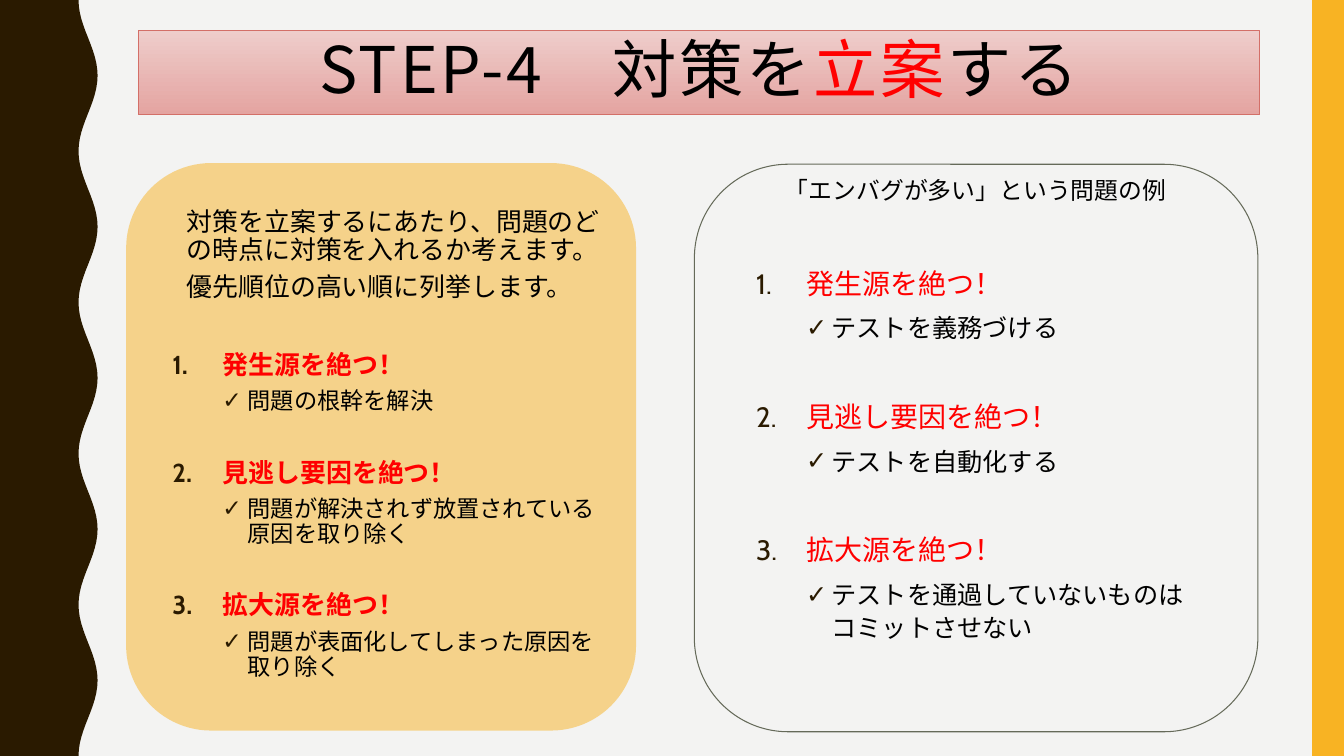
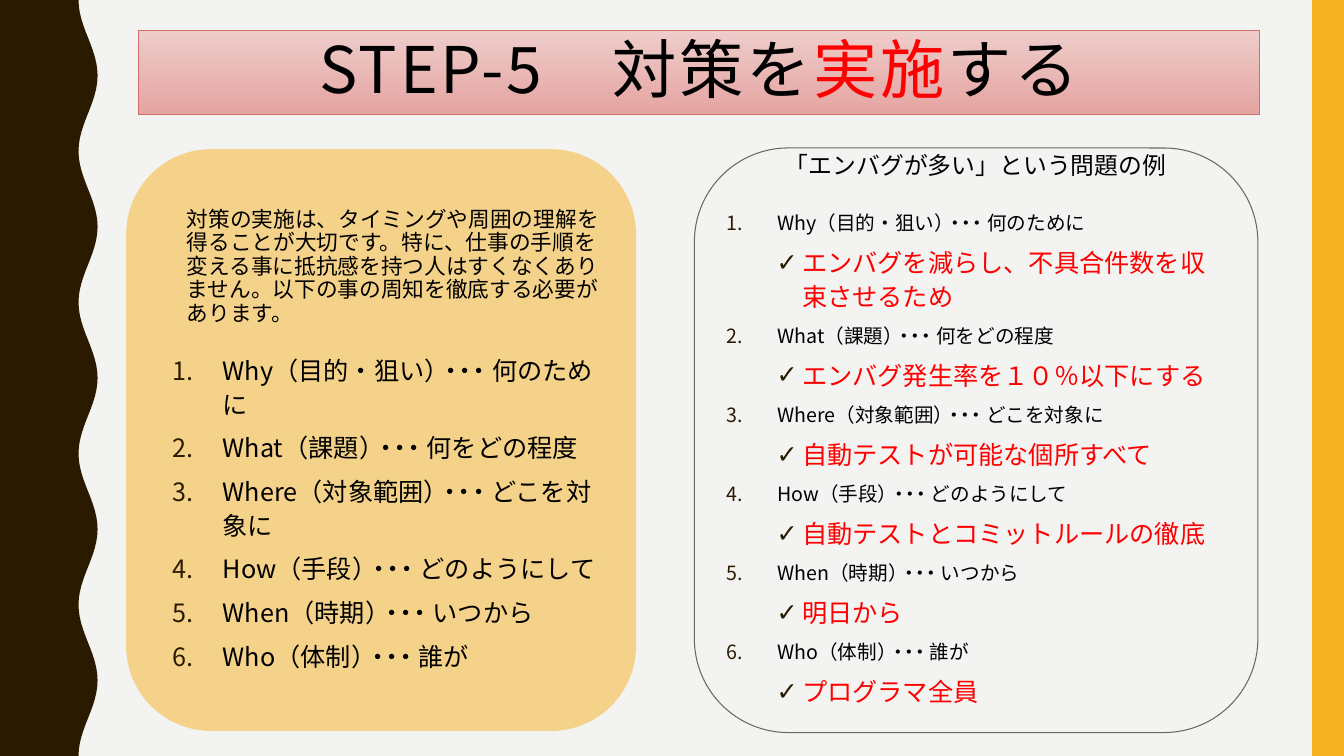
from math import cos, pi

from lxml import etree
from pptx import Presentation, util as u
from pptx.dml.color import RGBColor
from pptx.enum import shapes, text
from pptx.oxml.ns import qn


class Look:
    back, dark, gold = "F3F3F2", "2A1A00", "F8B323"
    black, red, edge = "000000", "FF0000", "656A59"
    light, deep, rim = "EECDCB", "E4A4A1", "D36F68"
    body, head, sans = "Cabin", "Noto Sans CJK JP", "Noto Sans CJK SC"
    title, note = 45.9, 17
    tight, loose = 0.9, 1.1
    gap = 7


def rgb(code):
    return RGBColor.from_string(code)


def say(box, words, size=18, color=Look.black, font=Look.body, east=None,
        bold=False, line=Look.tight, gap=Look.gap, mark=None,
        align=text.PP_ALIGN.LEFT, track=0, join=False):
    """Add a paragraph, or with join a run; mark is "1." or a bullet sign."""
    frame = box.text_frame
    par = frame.paragraphs[-1]
    if not join:
        if par.runs:
            par = frame.add_paragraph()
        par.alignment, par.line_spacing = align, line
        par.space_before = u.Pt(gap)
        props = par._p.get_or_add_pPr()
        left, hang = {None: (0, 0), "1.": (1.27, -1.27)}.get(mark, (1.9, -0.64))
        props.set("marL", str(u.Cm(left)))
        props.set("indent", str(u.Cm(hang)))
        if mark:
            tint = etree.SubElement(props, qn("a:buClr"))
            etree.SubElement(tint, qn("a:srgbClr"), val=Look.dark)
        if mark == "1.":
            etree.SubElement(props, qn("a:buAutoNum"), type="arabicPeriod")
        elif mark:
            par.level = 1
            etree.SubElement(props, qn("a:buChar"), char=mark)
        else:
            etree.SubElement(props, qn("a:buNone"))
    run = par.add_run()
    run.text = words
    run.font.size, run.font.bold, run.font.name = u.Pt(size), bold, font
    run.font.color.rgb = rgb(color)
    props = run._r.get_or_add_rPr()
    etree.SubElement(props, qn("a:ea"), typeface=east or font)
    if track:
        props.set("spc", str(round(track * 100)))


# A bar parts the runs of a line; runs with middle dots are set closer,
# by these shares of the type size.
close = {"・": -0.25, "）・・・": -0.44}
asks = ["Why（目的|・|狙い|）・・・|何のために", "What（課題|）・・・|何をどの程度",
        "Where（対象範囲|）・・・|どこを対象に", "How（手段|）・・・|どのようにして",
        "When（時期|）・・・|いつから", "Who（体制|）・・・|誰が"]
goals = ["エンバグを減らし、不具合件数を収束させるため", "エンバグ発生率を１０％以下にする",
         "自動テストが可能な個所すべて", "自動テストとコミットルールの徹底",
         "明日から", "プログラマ全員"]
cuts = ["発生源を絶つ！", "見逃し要因を絶つ！", "拡大源を絶つ！"]
whys = ["問題の根幹を解決", "問題が解決されず放置されている原因を取り除く",
        "問題が表面化してしまった原因を取り除く"]
acts = ["テストを義務づける", "テストを自動化する",
        "テストを通過していないものはコミットさせない"]

# Each list: heads, details, head format, detail format.
# Fixed line pitch keeps mixed-script lines even.
pitch = 1.34
asked = dict(font=Look.sans, east=Look.body)
steps = [
    dict(
        name="STEP-4", verb="立案", size=18.5,
        intro=["対策を立案するにあたり、問題のどの時点に対策を入れるか考えます。",
               "優先順位の高い順に列挙します。"],
        gold=(3.18, 4.11, 12.85, 14.3), frame=(17.5, 4.14, 14.2, 14.3),
        places=[(4.45, 5.13, 11.23, 2.87), (4.09, 8.74, 11.61, 8.94),
                (18.52, 4.39, 12.14, 0.94), (18.8, 6.5, 11.61, 11.58)],
        lists=[(cuts, whys, dict(size=18.5, color=Look.red, bold=True, gap=32),
                dict(size=16.6)),
               (cuts, acts, dict(size=20, color=Look.red, line=Look.loose, gap=38),
                dict(line=Look.loose))]),
    dict(
        name="STEP-5", verb="実施", size=15.5,
        intro=["対策の実施は、タイミングや周囲の理解を得ることが大切です。"
               "特に、仕事の手順を変える事に抵抗感を持つ人はすくなくありません。"
               "以下の事の周知を徹底する必要があります。"],
        gold=(3.18, 3.76, 12.85, 14.66), frame=(17.5, 3.73, 14.2, 14.73),
        places=[(4.45, 5.13, 11.23, 3.45), (4.09, 8.74, 11.61, 8.56),
                (18.52, 3.76, 12.14, 0.94), (18.06, 5.13, 13.06, 13.8)],
        lists=[(asks, [], dict(asked, size=18, line=u.Pt(18 * pitch)), {}),
               (asks, goals, dict(asked, size=14, line=u.Pt(14 * pitch)),
                dict(color=Look.red, line=Look.loose))]),
]

deck = Presentation()
deck.slide_width, deck.slide_height = u.Cm(33.87), u.Cm(19.05)
comparison = deck.slide_layouts[4]
master = deck.slide_master
master.background.fill.solid()
master.background.fill.fore_color.rgb = rgb(Look.back)
slides = [deck.slides.add_slide(comparison) for step in steps]

# Side bands are drawn once, then moved to the master.
waves, parts = 5, 24
tall = deck.slide_height
rows = range(waves * parts + 1)
curve = [(u.Cm(2.22 - 0.24 * cos(2 * pi * row / parts)), tall * row // rows[-1])
         for row in rows]
pen = slides[0].shapes.build_freeform(0, 0)
pen.add_line_segments(curve + [(0, tall)], close=True)
strip = slides[0].shapes.add_shape(
    shapes.MSO_SHAPE.RECTANGLE, u.Cm(33.07), 0, u.Cm(0.8), tall)
first = master.shapes[0].element
for band, color in [(pen.convert_to_shape(), Look.dark), (strip, Look.gold)]:
    band.shadow.inherit = False
    band.fill.solid()
    band.fill.fore_color.rgb = rgb(color)
    band.line.fill.background()
    first.addprevious(band.element)

for slide, step in zip(slides, steps):
    title = slide.shapes.title

    for key in ("frame", "gold"):
        panel = slide.shapes.add_shape(
            shapes.MSO_SHAPE.ROUNDED_RECTANGLE, *map(u.Cm, step[key]))
        panel.shadow.inherit = False
        if key == "gold":
            panel.fill.solid()
            panel.fill.fore_color.rgb = rgb(Look.gold)
            tint = panel.element.spPr.find(".//" + qn("a:srgbClr"))
            etree.SubElement(tint, qn("a:alpha"), val="50000")
            panel.line.fill.background()
        else:
            panel.fill.background()
            panel.line.color.rgb = rgb(Look.edge)
            panel.line.width = u.Pt(0.75)
        title.element.addprevious(panel.element)

    boxes = [slide.placeholders[spot] for spot in range(5)]
    places = [(3.48, 0.76, 28.27, 2.13)] + step["places"]
    for box, place in zip(boxes, places):
        box.left, box.top, box.width, box.height = map(u.Cm, place)
        frame = box.text_frame
        frame.word_wrap, frame.auto_size = True, text.MSO_AUTO_SIZE.NONE
        frame.vertical_anchor = text.MSO_ANCHOR.TOP
    title, intro, left, note, right = boxes

    title.text_frame.vertical_anchor = text.MSO_ANCHOR.MIDDLE
    title.fill.gradient()
    title.fill.gradient_angle = 270
    for stop, color in zip(title.fill.gradient_stops, (Look.light, Look.deep)):
        stop.color.rgb = rgb(color)
    title.line.color.rgb = rgb(Look.rim)
    title.line.width = u.Pt(0.5)
    pieces = [(step["name"] + "　対策を", Look.black),
              (step["verb"], Look.red), ("する", Look.black)]
    for spot, (words, color) in enumerate(pieces):
        say(title, words, size=Look.title, color=color, font=Look.head, gap=0,
            align=text.PP_ALIGN.CENTER, track=2, join=spot > 0)

    for words in step["intro"]:
        say(intro, words, size=step["size"])
    say(note, "「エンバグが多い」という問題の例", size=Look.note,
        align=text.PP_ALIGN.CENTER)

    for box, (heads, details, top, sub) in zip((left, right), step["lists"]):
        for spot, head in enumerate(heads):
            style = top if spot else dict(top, gap=Look.gap)
            for turn, words in enumerate(head.split("|")):
                say(box, words, mark="1.", join=turn > 0,
                    track=close.get(words, 0) * top["size"], **style)
            for detail in details[spot:spot + 1]:
                say(box, detail, mark="✓", **sub)

deck.save("out.pptx")
